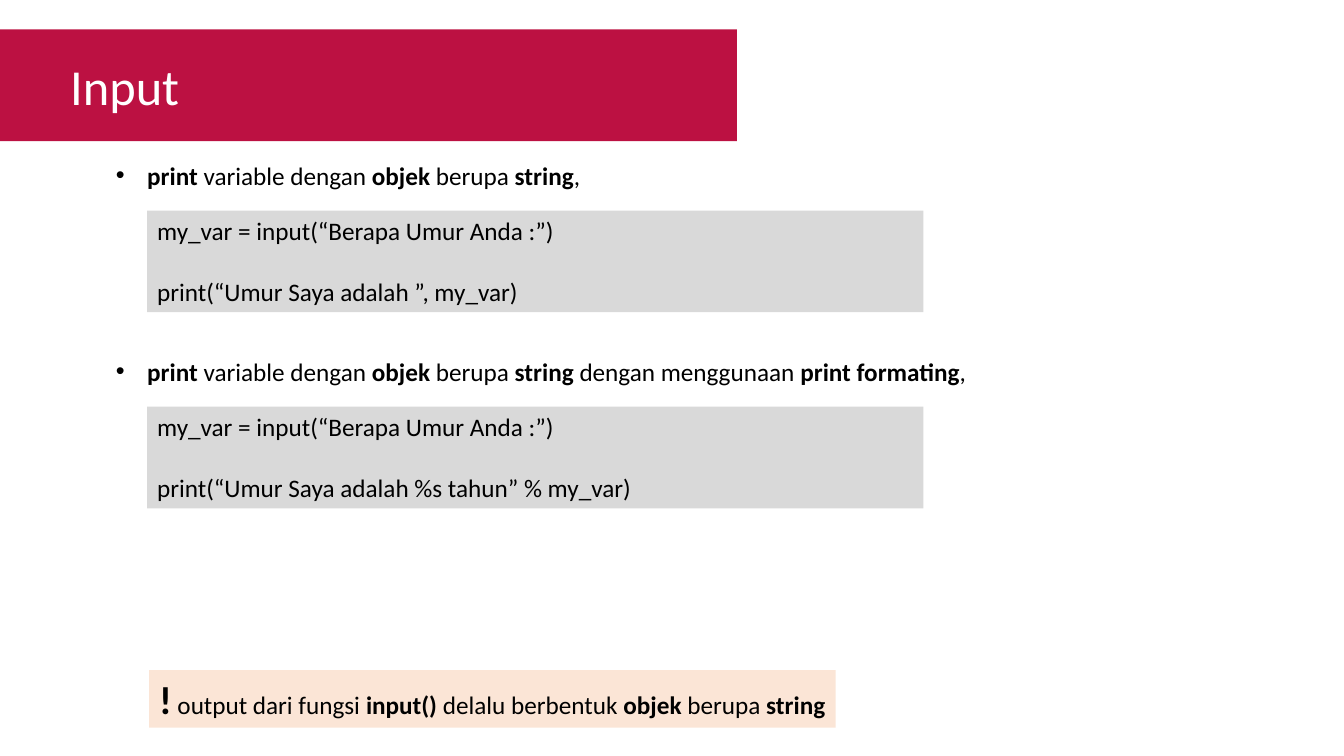
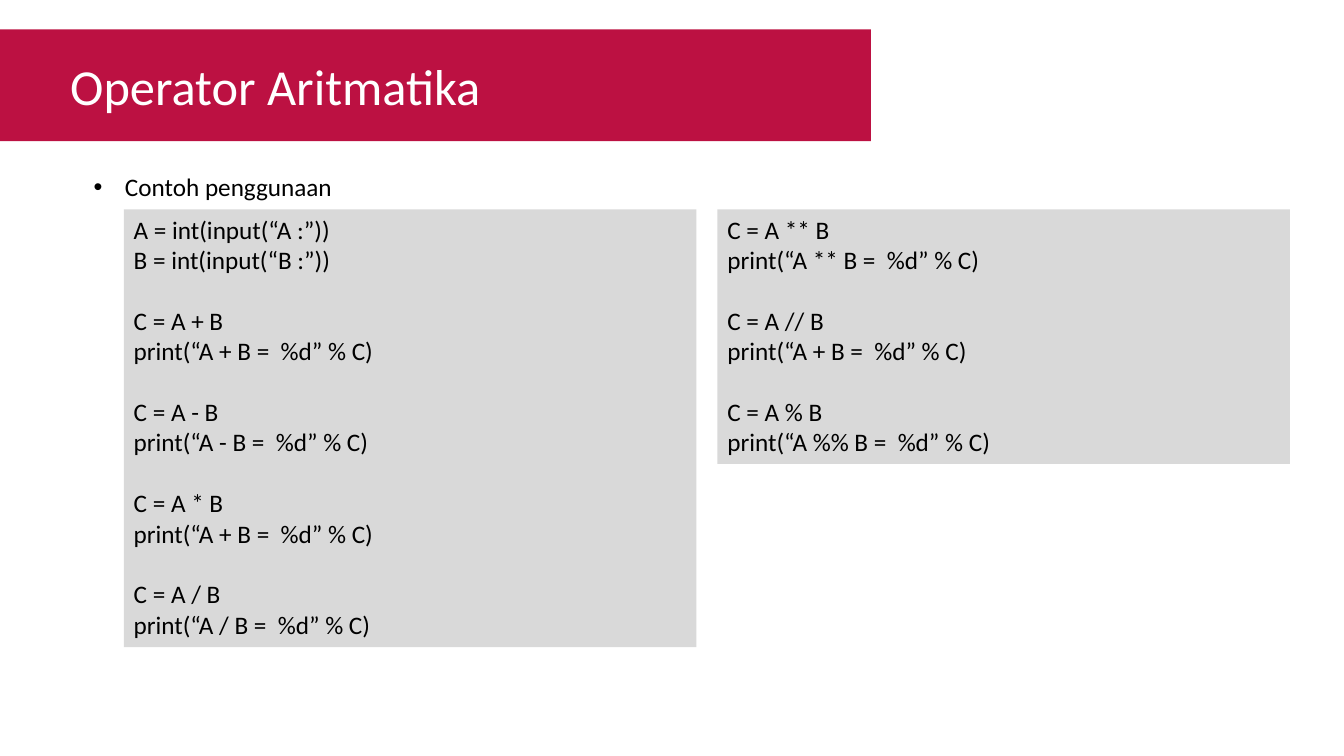
"""Build two slides on Python input and arithmetic operators."""
from dataclasses import dataclass

import pptx
import pptx.dml.color
import pptx.enum.shapes
import pptx.enum.text
import pptx.oxml.xmlchemy
import pptx.shapes.autoshape
import pptx.slide
import pptx.text.text
import pptx.util
from lxml import etree
from pptx.util import Cm

COLORS = {
    "band": "BC1142",
    "code": "D9D9D9",
    "note": "FBE5D6",
    "title": "FFFFFF",
    "text": "000000",
}
FONT = "Calibri"
LINE = 0.77
CODE_PADDING = 0.25
BULLET_INDENT = 0.79


@dataclass
class Bullet:
    left: float
    top: float
    text: str


@dataclass
class Code:
    left: float
    top: float
    width: float
    groups: list[list[str]]


@dataclass
class Lesson:
    title: str
    band_width: float
    bullets: list[Bullet]
    codes: list[Code]
    note: str = ""


def color_of(name: str) -> pptx.dml.color.RGBColor:
    return pptx.dml.color.RGBColor.from_string(COLORS[name])


def add_box(page: pptx.slide.Slide, left: float, top: float, width: float,
            height: float, fill: str = "") -> pptx.shapes.autoshape.Shape:
    box = page.shapes.add_textbox(Cm(left), Cm(top), Cm(width), Cm(height))
    box.text_frame.word_wrap = True
    if fill:
        box.fill.solid()
        box.fill.fore_color.rgb = color_of(fill)
    return box


def write(para: pptx.text.text._Paragraph, text: str, *, size: int = 18,
          bold: bool = False, color: str = "text") -> None:
    """Add text to a paragraph; each | switches bold on or off."""
    for index, piece in enumerate(text.split("|")):
        if piece:
            span = para.add_run()
            span.text = piece
            span.font.name = FONT
            span.font.size = pptx.util.Pt(size)
            span.font.bold = bold != (index % 2 == 1)
            span.font.color.rgb = color_of(color)


def draw_title(page: pptx.slide.Slide, title: str, band_width: float) -> None:
    band = page.shapes.add_shape(pptx.enum.shapes.MSO_SHAPE.RECTANGLE,
                                 Cm(0), Cm(0.74), Cm(band_width), Cm(2.82))
    band.shadow.inherit = False
    band.fill.solid()
    band.fill.fore_color.rgb = color_of("band")
    band.line.fill.background()
    box = add_box(page, 1.52, 1.27, band_width - 2, 1.8)
    write(box.text_frame.paragraphs[0], title, size=36, color="title")


def draw_bullet(page: pptx.slide.Slide, bullet: Bullet) -> None:
    box = add_box(page, bullet.left, bullet.top, 27.4, 1.02)
    para = box.text_frame.paragraphs[0]
    properties = para._p.get_or_add_pPr()
    properties.set("marL", str(Cm(BULLET_INDENT)))
    properties.set("indent", str(-Cm(BULLET_INDENT)))
    namespace = pptx.oxml.ns.qn
    etree.SubElement(properties, namespace("a:buFont")).set("typeface", "Arial")
    etree.SubElement(properties, namespace("a:buChar")).set("char", "•")
    write(para, bullet.text)


def draw_code(page: pptx.slide.Slide, code: Code) -> None:
    """Draw a code panel with one empty line's space between its groups."""
    line_count = sum(map(len, code.groups)) + len(code.groups) - 1
    height = CODE_PADDING + LINE * line_count
    frame = add_box(page, code.left, code.top, code.width, height, "code").text_frame
    for group_index, group in enumerate(code.groups):
        for line_index, line in enumerate(group):
            first = group_index == line_index == 0
            para = frame.paragraphs[0] if first else frame.add_paragraph()
            if line_index == 0 and not first:
                para.space_before = Cm(LINE)
            write(para, line)


def draw_note(page: pptx.slide.Slide, note: str) -> None:
    box = add_box(page, 3.76, 16.89, 17.3, 1.45, "note")
    box.text_frame.word_wrap = False
    para = box.text_frame.paragraphs[0]
    write(para, "!", size=28, bold=True)
    write(para, note)


def sample(operator: str, label: str) -> list[str]:
    return [f"C = A {operator} B", f"print(“A {label} B =  %d” % C)"]


ASK_AGE = ["my_var = input(“Berapa Umur Anda :”)"]
LESSONS = [
    Lesson(
        "Input", 18.57,
        [
            Bullet(2.67, 3.91, "|print |variable dengan |objek |berupa |string|,"),
            Bullet(2.67, 8.85, "|print |variable dengan |objek |berupa |string "
                               "|dengan menggunaan |print formating|,"),
        ],
        [
            Code(3.71, 5.31, 19.56, [ASK_AGE, ["print(“Umur Saya adalah ”, my_var)"]]),
            Code(3.71, 10.25, 19.56,
                 [ASK_AGE, ["print(“Umur Saya adalah %s tahun” % my_var)"]]),
        ],
        " output dari fungsi |input()| delalu berbentuk |objek |berupa |string|",
    ),
    Lesson(
        "Operator Aritmatika", 21.95,
        [Bullet(2.11, 4.19, "Contoh penggunaan")],
        [
            Code(3.12, 5.28, 14.43, [
                ["A = int(input(“A :”))", "B = int(input(“B :”))"],
                sample("+", "+"), sample("-", "-"),
                sample("*", "+"), sample("/", "/"),
            ]),
            Code(18.08, 5.28, 14.43, [
                sample("**", "**"), sample("//", "+"), sample("%", "%%"),
            ]),
        ],
    ),
]


def main() -> None:
    deck = pptx.Presentation()
    deck.slide_width, deck.slide_height = Cm(33.87), Cm(19.05)
    for lesson in LESSONS:
        page = deck.slides.add_slide(deck.slide_layouts[6])
        draw_title(page, lesson.title, lesson.band_width)
        for bullet in lesson.bullets:
            draw_bullet(page, bullet)
        for code in lesson.codes:
            draw_code(page, code)
        if lesson.note:
            draw_note(page, lesson.note)
    deck.save("out.pptx")


if __name__ == "__main__":
    main()
